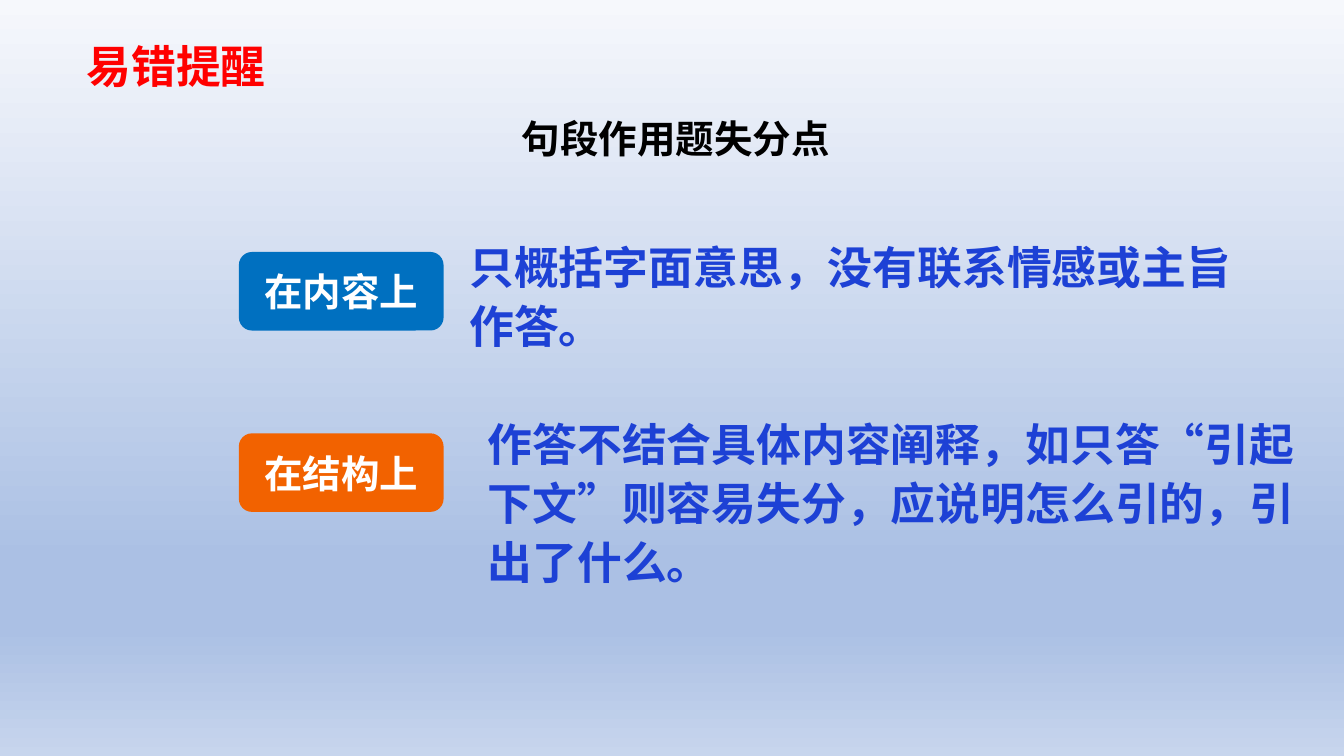
from lxml.etree import SubElement
from pptx import Presentation
from pptx.dml.color import RGBColor
from pptx.enum.shapes import MSO_SHAPE
from pptx.enum.text import MSO_ANCHOR, PP_ALIGN
from pptx.oxml.ns import qn
from pptx.util import Cm, Pt

CJK = "Noto Sans CJK SC"
BACKGROUND = [(0, "F6F8FC"), (74, "ABC0E4"), (83, "ABC0E4"), (100, "C7D5ED")]
HEADING = ("易错提醒", (1.93, 0.86, 9.65, 1.63))
SUBTITLE = ("句段作用题失分点", (1.75, 2.77, 30.56, 1.42))
POINTS = [
    ("在内容上", "0070C0", 6.35,
     "只概括字面意思，没有联系情感或主旨作答。", (11.58, 5.77, 20.52, 3.25)),
    ("在结构上", "F26200", 10.92,
     "作答不结合具体内容阐释，如只答“引起下文”则容易失分，应说明怎么引的，引出了什么。",
     (12.04, 10.24, 21.62, 4.75)),
]
LABEL_LEFT, LABEL_WIDTH, LABEL_HEIGHT = 6.02, 5.16, 1.98


def rgb(value):
    return RGBColor.from_string(value)


def write(shape, text, size, color, align=PP_ALIGN.LEFT, spacing=None, font=CJK):
    tf = shape.text_frame
    tf.word_wrap = True
    p = tf.paragraphs[0]
    p.text = text
    p.alignment = align
    p.line_spacing = spacing
    p.font.size = Pt(size)
    p.font.bold = True
    p.font.name = font
    p.font.color.rgb = rgb(color)
    SubElement(p._p.pPr.find(qn("a:defRPr")), qn("a:ea"), typeface=CJK)


def add_text(box, *args, **kwargs):
    write(s.shapes.add_textbox(*map(Cm, box)), *args, **kwargs)


def add_label(text, color, top):
    sp = s.shapes.add_shape(MSO_SHAPE.ROUNDED_RECTANGLE, Cm(LABEL_LEFT), Cm(top),
                            Cm(LABEL_WIDTH), Cm(LABEL_HEIGHT))
    sp.shadow.inherit = False
    sp.fill.solid()
    sp.fill.fore_color.rgb = rgb(color)
    sp.line.fill.background()
    sp.text_frame.vertical_anchor = MSO_ANCHOR.MIDDLE
    write(sp, text, 27.5, "FFFFFF", PP_ALIGN.CENTER)


def paint_background():
    fill = s.background.fill
    fill.gradient()
    fill.gradient_angle = 270
    stops = s._element.find(".//" + qn("a:gsLst"))
    for stop in list(stops):
        stops.remove(stop)
    for percent, color in BACKGROUND:
        stop = SubElement(stops, qn("a:gs"), pos=str(percent * 1000))
        SubElement(stop, qn("a:srgbClr"), val=color)


prs = Presentation()
prs.slide_width, prs.slide_height = Cm(33.87), Cm(19.05)
s = prs.slides.add_slide(prs.slide_layouts[6])
paint_background()

text, box = SUBTITLE
add_text(box, text, 27.5, "000000", PP_ALIGN.CENTER)
for label, color, top, advice, box in POINTS:
    add_label(label, color, top)
    add_text(box, advice, 32, "1D41D5", spacing=1.1)
text, box = HEADING
add_text(box, text, 32, "FF0000", font="Times New Roman")

prs.save("out.pptx")
